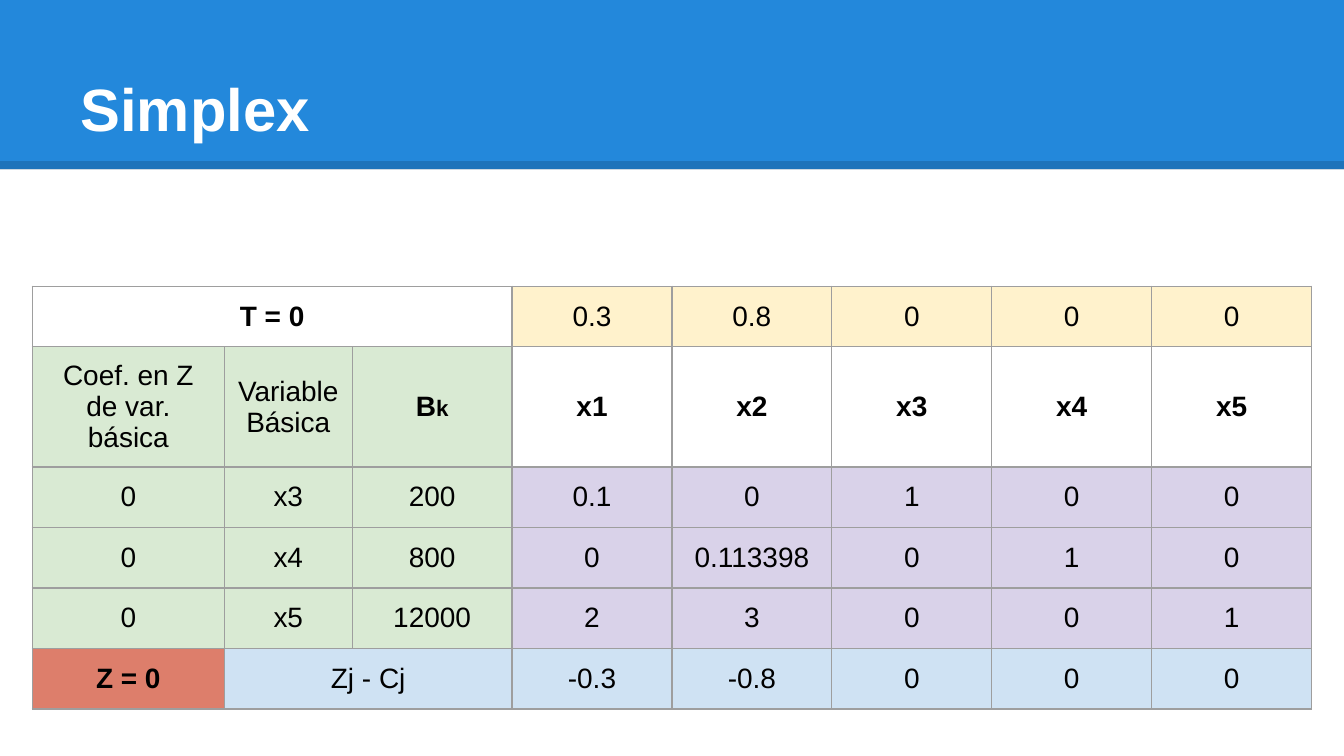
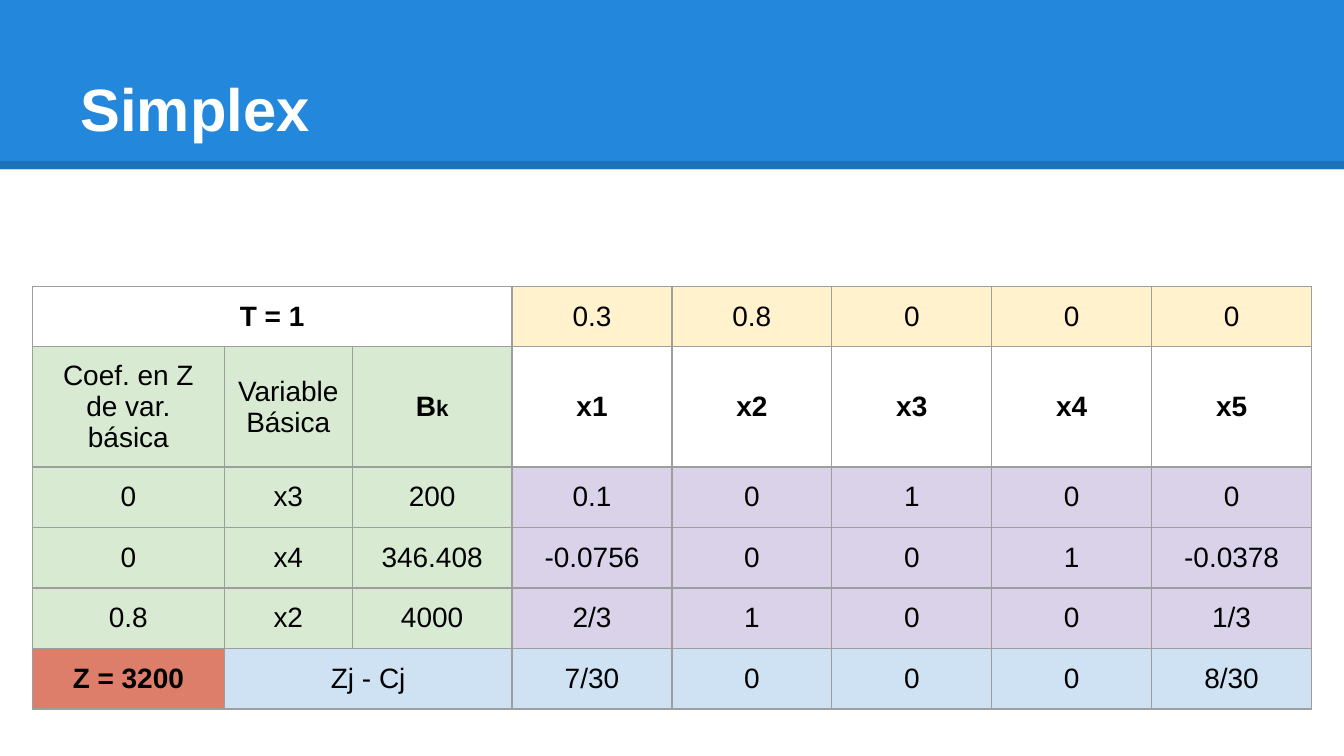
from lxml import etree
from pptx import Presentation
from pptx.dml.color import RGBColor
from pptx.enum.shapes import MSO_CONNECTOR, MSO_SHAPE
from pptx.enum.text import MSO_ANCHOR, MSO_AUTO_SIZE, PP_ALIGN
from pptx.oxml import parse_xml
from pptx.oxml.ns import nsdecls, qn
from pptx.util import Inches, Pt

RECTANGLE = MSO_SHAPE.RECTANGLE
STRAIGHT = MSO_CONNECTOR.STRAIGHT
MIDDLE, BOTTOM = MSO_ANCHOR.MIDDLE, MSO_ANCHOR.BOTTOM
LEFT, CENTER = PP_ALIGN.LEFT, PP_ALIGN.CENTER
NO_AUTO_SIZE = MSO_AUTO_SIZE.NONE
TITLE_ONLY = 5

FONT = "Arial"
WHITE, BLACK, BLUE, GREY = "FFFFFF", "000000", "2388DB", "9E9E9E"
YELLOW, GREEN, PURPLE = "FFF2CC", "D9EAD3", "D9D2E9"
RED, PALE_BLUE = "DD7E6B", "CFE2F3"

SLIDE_WIDTH = 10
SLIDE_HEIGHT = SLIDE_WIDTH * 9 / 16
TITLE_BOX = (0.5, 0.23, 9, 0.94)
TABLE_CORNER = (0.24, 2.13)
COLUMN_WIDTHS = [1.43, 0.95] + [1.19] * 6
ROW_HEIGHTS = [0.45, 0.89] + [0.45] * 4
BASIS_COLUMNS = 3
HEADER_ROW, RESULT_ROW = 1, 5

OBJECTIVE = ["0.3", "0.8", "0", "0", "0"]
HEADINGS = ["Coef. en Z de var. básica", "Variable Básica", "Bk",
            "x1", "x2", "x3", "x4", "x5"]

# Each step: iteration, constraint rows, Z value, reduced costs.
STEPS = [
    ("T = 0",
     [["0", "x3", "200", "0.1", "0", "1", "0", "0"],
      ["0", "x4", "800", "0", "0.113398", "0", "1", "0"],
      ["0", "x5", "12000", "2", "3", "0", "0", "1"]],
     "Z = 0", ["-0.3", "-0.8", "0", "0", "0"]),
    ("T = 1",
     [["0", "x3", "200", "0.1", "0", "1", "0", "0"],
      ["0", "x4", "346.408", "-0.0756", "0", "0", "1", "-0.0378"],
      ["0.8", "x2", "4000", "2/3", "1", "0", "0", "1/3"]],
     "Z = 3200", ["7/30", "0", "0", "0", "8/30"]),
]


def color(hex_value):
    return RGBColor.from_string(hex_value)


def style_paragraph(paragraph, size, hex_value, bold, alignment):
    font = paragraph.font
    font.name, font.size, font.bold = FONT, Pt(size), bold
    font.color.rgb = color(hex_value)
    paragraph.alignment = alignment


def add_master_band(presentation, slide):
    """Draw the title band and its shaded edge, then move both to the master."""
    band = slide.shapes.add_shape(
        RECTANGLE, 0, 0, Inches(SLIDE_WIDTH), Inches(1.26))
    band.shadow.inherit = False
    band.fill.solid()
    band.fill.fore_color.rgb = color(BLUE)
    band.line.fill.background()

    edge = slide.shapes.add_connector(
        STRAIGHT, 0, Inches(1.23), Inches(SLIDE_WIDTH), Inches(1.23))
    edge.line.width = Pt(4.5)
    edge.line.color.rgb = color(BLACK)
    properties = edge._element.spPr
    line_color = properties.find(".//" + qn("a:srgbClr"))
    etree.SubElement(line_color, qn("a:alpha"), val="14000")
    etree.SubElement(properties, qn("a:effectLst"))

    master_tree = presentation.slide_master.shapes._spTree
    for position, shape in enumerate((band, edge), start=2):
        master_tree.insert(position, shape._element)


def add_title(slide, text, box):
    title = slide.shapes.title
    title.left, title.top, title.width, title.height = map(Inches, box)
    frame = title.text_frame
    frame.text = text
    frame.auto_size = NO_AUTO_SIZE
    frame.word_wrap = True
    frame.vertical_anchor = BOTTOM
    frame.margin_left = frame.margin_right = Inches(0.1)
    frame.margin_top = frame.margin_bottom = Inches(0.1)
    style_paragraph(frame.paragraphs[0], 32, WHITE, True, LEFT)


def set_borders(cell):
    properties = cell._tc.get_or_add_tcPr()
    for position, side in enumerate(("lnL", "lnR", "lnT", "lnB")):
        border = parse_xml(
            f'<a:{side} {nsdecls("a")} w="{Pt(0.75)}"><a:solidFill>'
            f'<a:srgbClr val="{GREY}"/></a:solidFill></a:{side}>')
        properties.insert(position, border)


def cell_fill(row, column):
    """Return the colour of the tableau region, or None where it is clear."""
    in_basis = column < BASIS_COLUMNS
    if row == 0:
        return None if in_basis else YELLOW
    if row == RESULT_ROW:
        return RED if column == 0 else PALE_BLUE
    if in_basis:
        return GREEN
    return None if row == HEADER_ROW else PURPLE


def is_bold(row, column):
    return (column == 0 and row in (0, RESULT_ROW)
            or row == HEADER_ROW and column >= BASIS_COLUMNS - 1)


def format_cell(cell, text, row, column):
    fill = cell_fill(row, column)
    if fill:
        cell.fill.solid()
        cell.fill.fore_color.rgb = color(fill)
    else:
        cell.fill.background()
    set_borders(cell)
    cell.vertical_anchor = MIDDLE
    cell.margin_left = cell.margin_right = Inches(0.1)
    cell.margin_top = cell.margin_bottom = Inches(0.1)
    paragraph = cell.text_frame.paragraphs[0]
    style_paragraph(paragraph, 15, BLACK, is_bold(row, column), CENTER)
    if text == "Bk":
        for letter in text:
            paragraph.add_run().text = letter
        paragraph.runs[1].font.size = Pt(12)
    elif text:
        paragraph.add_run().text = text


def add_tableau(slide, corner, step):
    iteration, constraints, z_value, reduced_costs = step
    rows = [[iteration, "", ""] + OBJECTIVE, HEADINGS, *constraints,
            [z_value, "Zj - Cj", ""] + reduced_costs]
    left, top = corner
    table = slide.shapes.add_table(
        len(rows), len(COLUMN_WIDTHS), Inches(left), Inches(top),
        Inches(sum(COLUMN_WIDTHS)), Inches(sum(ROW_HEIGHTS))).table
    table.first_row = table.horz_banding = False
    for column, width in zip(table.columns, COLUMN_WIDTHS):
        column.width = Inches(width)
    for row, height in zip(table.rows, ROW_HEIGHTS):
        row.height = Inches(height)
    for row, values in enumerate(rows):
        for column, text in enumerate(values):
            format_cell(table.cell(row, column), text, row, column)
    last = BASIS_COLUMNS - 1
    table.cell(0, 0).merge(table.cell(0, last))
    table.cell(RESULT_ROW, 1).merge(table.cell(RESULT_ROW, last))


def main():
    presentation = Presentation()
    presentation.slide_width = Inches(SLIDE_WIDTH)
    presentation.slide_height = Inches(SLIDE_HEIGHT)
    layout = presentation.slide_layouts[TITLE_ONLY]
    for step in STEPS:
        slide = presentation.slides.add_slide(layout)
        add_title(slide, "Simplex", TITLE_BOX)
        add_tableau(slide, TABLE_CORNER, step)
    add_master_band(presentation, slide)
    presentation.save("out.pptx")


if __name__ == "__main__":
    main()
